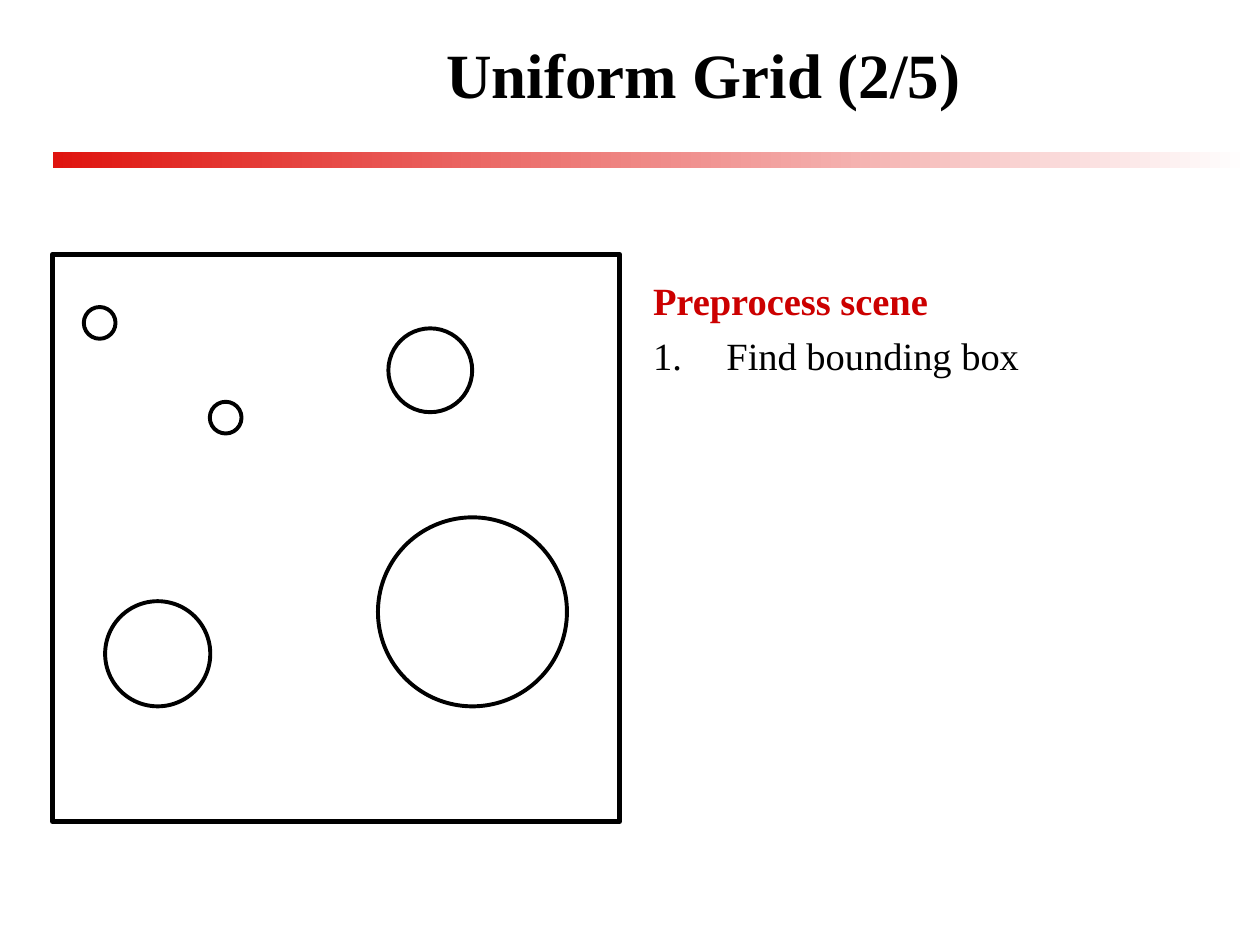
from lxml import etree
from pptx import Presentation
from pptx.dml.color import RGBColor
from pptx.enum.shapes import MSO_SHAPE
from pptx.enum.text import MSO_ANCHOR, MSO_AUTO_SIZE, PP_ALIGN
from pptx.oxml.ns import qn
from pptx.util import Cm, Pt

RECT, OVAL = MSO_SHAPE.RECTANGLE, MSO_SHAPE.OVAL
MIDDLE, CENTER, FIXED = MSO_ANCHOR.MIDDLE, PP_ALIGN.CENTER, MSO_AUTO_SIZE.NONE
BLACK, RED, BAR, WHITE = "000000", "CC0000", "DF140F", "FFFFFF"


def color(text):
    return RGBColor.from_string(text)


class Deck:
    face = "Times New Roman"
    hang = Cm(1.48)

    def __init__(self):
        self.prs = Presentation()
        self.prs.slide_width, self.prs.slide_height = Cm(25.4), Cm(19.05)
        self.slide = self.prs.slides.add_slide(self.prs.slide_layouts[1])

    def place(self, item, box):
        for name, value in zip(("left", "top", "width", "height"), box):
            setattr(item, name, Cm(value))

    def label(self, para, text, size, tint, bold):
        run = para.add_run()
        run.text = text
        style = {"name": self.face, "size": Pt(size), "bold": bold}
        for name, value in style.items():
            setattr(run.font, name, value)
        run.font.color.rgb = color(tint)

    def shape(self, kind, box):
        item = self.slide.shapes.add_shape(kind, *map(Cm, box))
        item.shadow.inherit = False
        return item

    def bar(self, *box):
        item = self.shape(RECT, box)
        item.line.fill.background()
        item.fill.gradient()
        item.fill.gradient_angle = 0
        for stop, tint in zip(item.fill.gradient_stops, (BAR, WHITE)):
            stop.color.rgb = color(tint)

    def outline(self, kind, box, width):
        item = self.shape(kind, box)
        item.fill.background()
        item.line.color.rgb = color(BLACK)
        item.line.width = Pt(width)

    def title(self, text, box):
        item = self.slide.shapes.title
        self.place(item, box)
        frame = item.text_frame
        frame.auto_size, frame.vertical_anchor = FIXED, MIDDLE
        frame.paragraphs[0].alignment = CENTER
        self.label(frame.paragraphs[0], text, 36, BLACK, True)

    def steps(self, head, items, box):
        body = self.slide.placeholders[1]
        self.place(body, box)
        frame = body.text_frame
        frame.auto_size, frame.margin_top = FIXED, Cm(0.23)
        for num, text in enumerate([head, *items]):
            para = frame.add_paragraph() if num else frame.paragraphs[0]
            props = para._p.get_or_add_pPr()
            props.set("marL", str(self.hang))
            props.set("indent", str(-self.hang))
            if num:
                mark = etree.SubElement(props, qn("a:buAutoNum"))
                mark.set("type", "arabicPeriod")
            else:
                etree.SubElement(props, qn("a:buNone"))
            para.space_before = Pt(5 if num else 0)
            self.label(para, text, 22, BLACK if num else RED, not num)


def main():
    deck = Deck()

    # Title and the fading rule below it
    deck.title("Uniform Grid (2/5)", (2.96, 0.42, 22.44, 2.12))
    for top in (3.07, 3.18):
        deck.bar(1.06, top, 24.13, 0.2)

    # Bounding box with the scene objects: left, top, diameter
    deck.outline(RECT, (1.06, 5.13, 11.43, 11.43), 3)
    balls = [(1.69, 6.19, 0.64), (4.23, 8.1, 0.64), (7.83, 6.62, 1.69),
             (2.12, 12.12, 2.12), (7.62, 10.43, 3.81)]
    for left, top, size in balls:
        deck.outline(OVAL, (left, top, size, size), 2.25)

    # Steps
    deck.steps("Preprocess scene", ["Find bounding box"],
               (12.91, 5.36, 12.04, 12.57))
    deck.prs.save("out.pptx")


if __name__ == "__main__":
    main()
